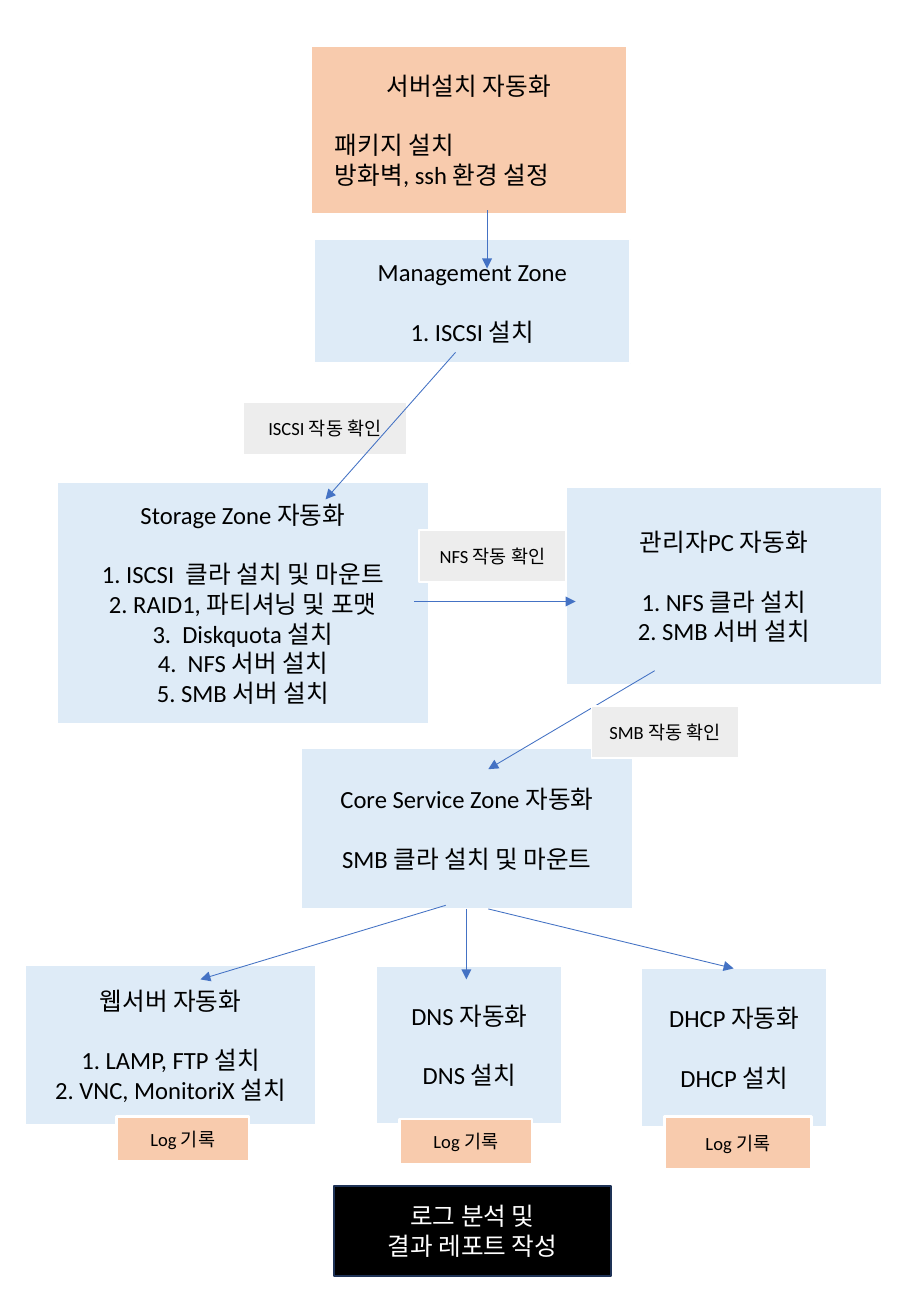
from dataclasses import dataclass

import lxml.etree
import pptx
import pptx.dml.color
import pptx.enum.shapes
import pptx.enum.text
import pptx.oxml.ns
import pptx.util

Inches = pptx.util.Inches
Pt = pptx.util.Pt
ALIGN = pptx.enum.text.PP_ALIGN
FONT = "Calibri"
HUES = {"peach": "F8CBAD", "sky": "DEEBF7", "grey": "EDEDED", "black": "000000",
        "white": "FFFFFF", "navy": "1E3256", "blue": "4472C4"}


@dataclass
class Style:
    fill: str
    edge: str = "white"
    ink: str = "black"
    size: float = 14.6
    weight: float = 1


@dataclass
class Box:
    style: Style
    left: float
    top: float
    width: float
    height: float
    lines: list[str]
    gap: float = 0  # points below the heading
    inset: float = 0  # indent of left-aligned lines under the heading


@dataclass
class Arrow:
    start: tuple[float, float]
    end: tuple[float, float]


START = Style("peach")
ZONE = Style("sky")
CHECK = Style("grey", size=11)
LOG = Style("peach", size=11, weight=1.5)
REPORT = Style("black", edge="navy", ink="white")
GAP = 17.8

# Zones and the check that lies under its arrow
ZONES = [
    Box(START, 2.56, 0.38, 2.6, 1.38,
        ["서버설치 자동화", "패키지 설치", "방화벽, ssh 환경 설정"], GAP, 0.1),
    Box(ZONE, 2.59, 1.97, 2.6, 1.02, ["Management Zone", "1. ISCSI 설치"], GAP),
    Box(ZONE, 0.47, 3.97, 3.06, 1.99,
        ["Storage Zone 자동화", "1. ISCSI  클라 설치 및 마운트",
         "2. RAID1, 파티셔닝 및 포맷", "3.  Diskquota 설치",
         "4.  NFS 서버 설치", "5. SMB 서버 설치"], GAP),
    Box(ZONE, 4.66, 4.01, 2.6, 1.63,
        ["관리자PC 자동화", "1. NFS 클라 설치", "2. SMB 서버 설치"], GAP),
    Box(ZONE, 3.1, 7.95, 1.53, 1.3, ["DNS 자동화", "DNS 설치"], GAP),
    Box(ZONE, 0.21, 7.94, 2.39, 1.32,
        ["웹서버 자동화", "1. LAMP, FTP 설치", "2. VNC, MonitoriX 설치"], GAP),
    Box(ZONE, 2.48, 6.16, 2.73, 1.32,
        ["Core Service Zone 자동화", "SMB 클라 설치 및 마운트"], GAP),
    Box(ZONE, 5.28, 7.97, 1.53, 1.3, ["DHCP 자동화", "DHCP 설치"], GAP),
    Box(CHECK, 2, 3.31, 1.35, 0.43, ["ISCSI 작동 확인"]),
]

ARROWS = [
    Arrow((4.01, 1.73), (4.01, 2.21)),
    Arrow((3.75, 2.9), (2.68, 4.11)),
    Arrow((3.41, 4.95), (4.74, 4.95)),
    Arrow((5.39, 5.52), (4.02, 6.33)),
    Arrow((3.67, 7.45), (1.65, 8.06)),
    Arrow((3.84, 7.48), (3.84, 8.06)),
    Arrow((4.02, 7.48), (6.04, 7.97)),
]

# Labels above the arrows
LABELS = [
    Box(CHECK, 3.45, 4.36, 1.21, 0.43, ["NFS 작동 확인"]),
    Box(CHECK, 4.87, 5.81, 1.21, 0.43, ["SMB 작동 확인"]),
    Box(LOG, 0.96, 9.19, 1.09, 0.37, ["Log 기록"]),
    Box(LOG, 3.29, 9.21, 1.09, 0.37, ["Log 기록"]),
    Box(LOG, 5.47, 9.19, 1.21, 0.43, ["Log 기록"]),
    Box(REPORT, 2.75, 9.76, 2.28, 0.74, ["로그 분석 및", "결과 레포트 작성"]),
]


def hue(name: str) -> pptx.dml.color.RGBColor:
    return pptx.dml.color.RGBColor.from_string(HUES[name])


def format_with(item: object, values: dict) -> None:
    for key, value in values.items():
        setattr(item, key, value)


def draw_box(slide: pptx.slide.Slide, box: Box) -> None:
    style = box.style
    shape = slide.shapes.add_shape(
        pptx.enum.shapes.MSO_SHAPE.RECTANGLE,
        *map(Inches, (box.left, box.top, box.width, box.height)))
    shape.shadow.inherit = False
    shape.fill.solid()
    shape.fill.fore_color.rgb = hue(style.fill)
    shape.line.color.rgb = hue(style.edge)
    shape.line.width = Pt(style.weight)

    frame = shape.text_frame
    format_with(frame, {"word_wrap": True,
                        "vertical_anchor": pptx.enum.text.MSO_ANCHOR.MIDDLE})
    for i, line in enumerate(box.lines):
        para = frame.add_paragraph() if i else frame.paragraphs[0]
        para.text = line
        para.alignment = ALIGN.CENTER
        if i == 0 and box.gap:
            para.space_after = Pt(box.gap)
        if i and box.inset:
            para.alignment = ALIGN.LEFT
            para._p.get_or_add_pPr().set("marL", str(Inches(box.inset)))
        font = para.runs[0].font
        format_with(font, {"name": FONT, "size": Pt(style.size)})
        font.color.rgb = hue(style.ink)


def draw_arrow(slide: pptx.slide.Slide, arrow: Arrow) -> None:
    link = slide.shapes.add_connector(
        pptx.enum.shapes.MSO_CONNECTOR.STRAIGHT,
        *map(Inches, arrow.start + arrow.end))
    link.line.color.rgb = hue("blue")
    link.line.width = Pt(0.5)
    qn = pptx.oxml.ns.qn
    head = lxml.etree.SubElement(link.line._get_or_add_ln(), qn("a:tailEnd"))
    head.set("type", "triangle")
    lxml.etree.SubElement(link._element.spPr, qn("a:effectLst"))


def main() -> None:
    deck = pptx.Presentation()
    format_with(deck, {"slide_width": Inches(7.5), "slide_height": Inches(10.83)})
    slide = deck.slides.add_slide(deck.slide_layouts[6])
    for box in ZONES:
        draw_box(slide, box)
    for arrow in ARROWS:
        draw_arrow(slide, arrow)
    for box in LABELS:
        draw_box(slide, box)
    deck.save("out.pptx")


if __name__ == "__main__":
    main()
